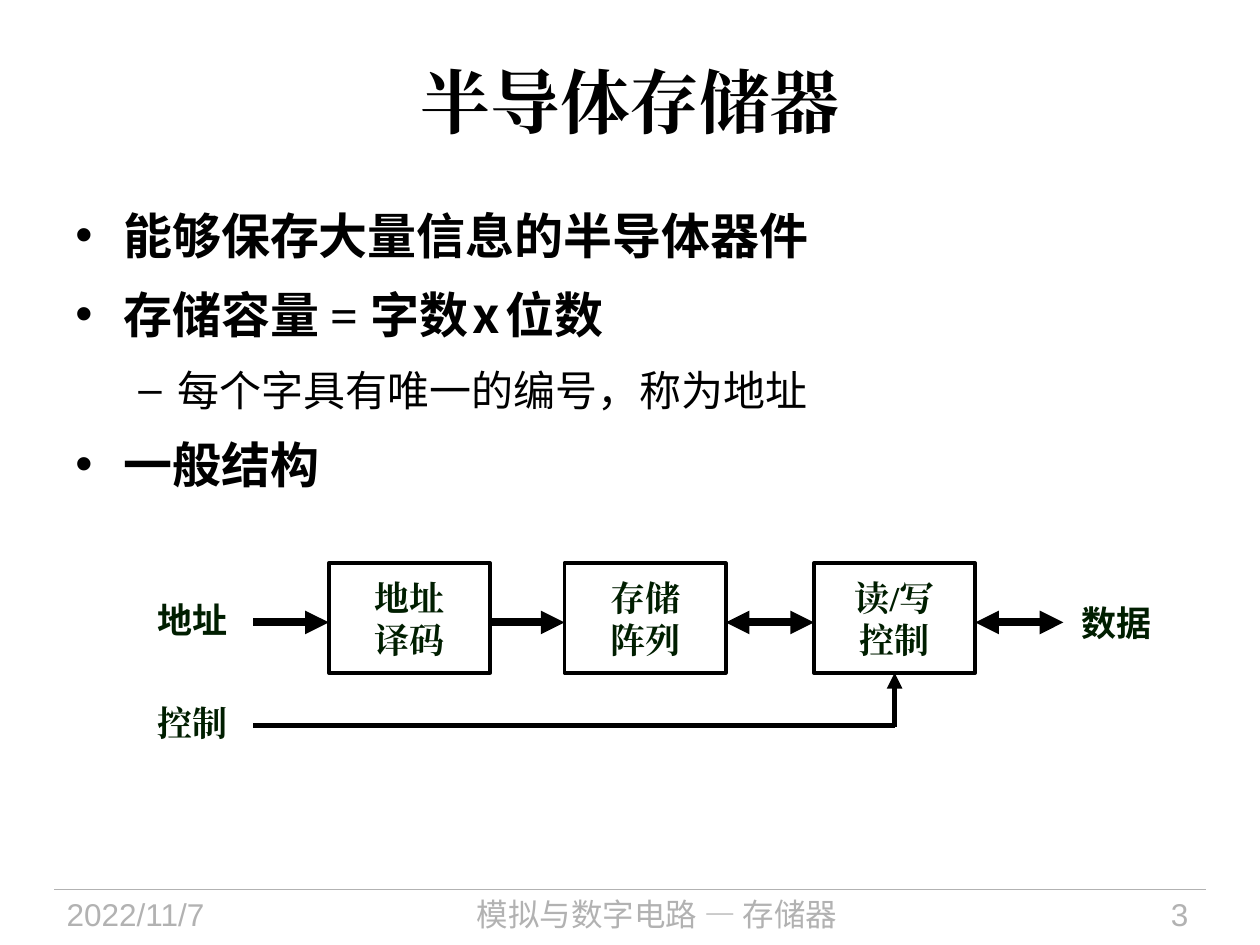
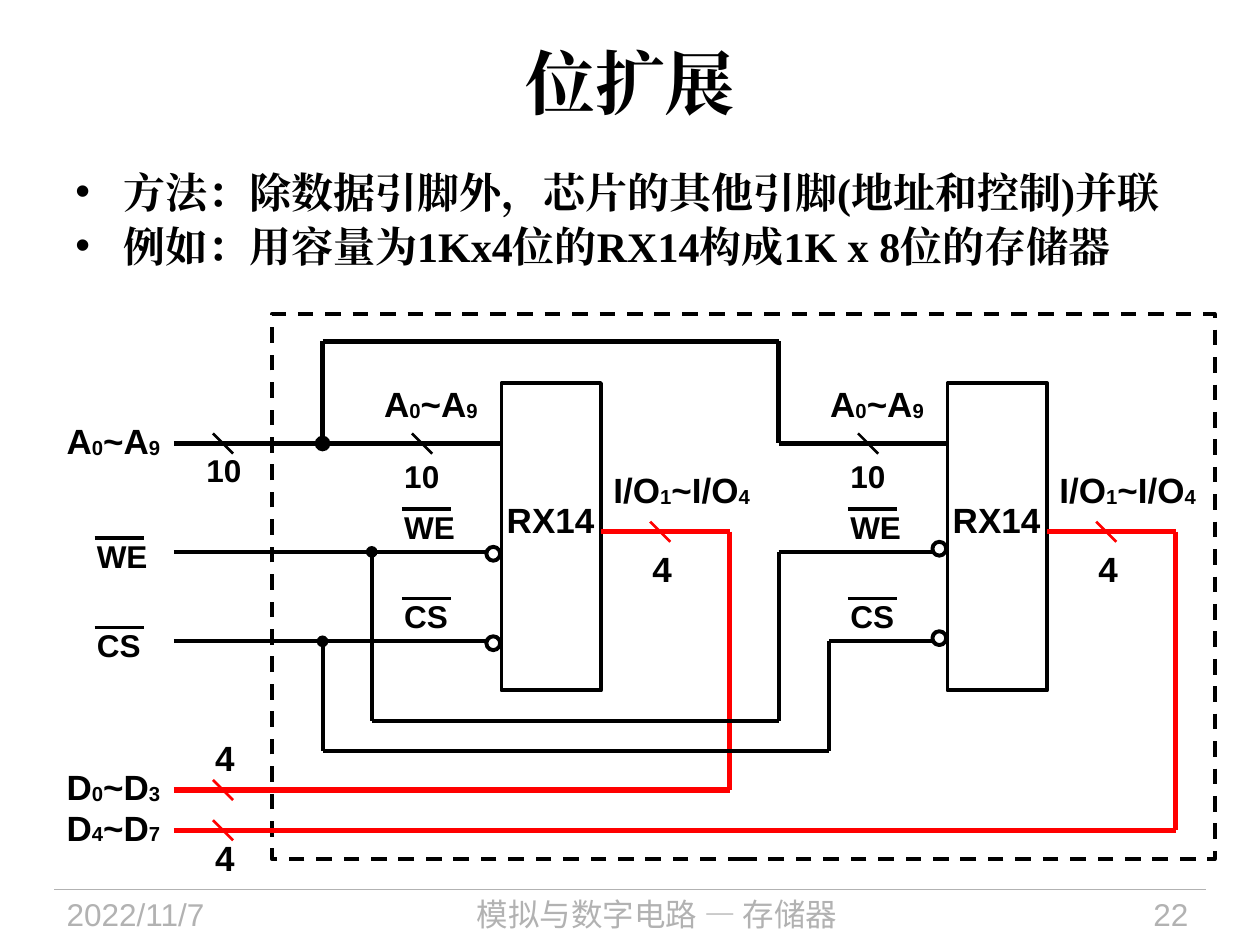
from dataclasses import dataclass

from lxml import etree
from pptx import Presentation
from pptx import util as u
from pptx.dml.color import RGBColor
from pptx.enum import dml, shapes, text
from pptx.oxml.ns import qn

CENTER, RIGHT = text.PP_ALIGN.CENTER, text.PP_ALIGN.RIGHT


@dataclass(frozen=True)
class Theme:
    ink: str = "000000"
    block_ink: str = "001E00"
    muted: str = "B2B2B2"
    data: str = "FF0000"
    paper: str = "FFFFFF"
    serif: str = "Times New Roman"
    sans: str = "Arial"
    cjk: str = "Noto Sans CJK SC"
    title: int = 40
    lead: int = 28
    body: int = 24
    label: int = 20
    small: int = 18
    hair: float = 0.75
    slash: float = 1.5
    thin: float = 2.25
    bus: float = 3
    flow: float = 4.5
    leading: float = 1.19


THEME = Theme()
SIGNAL = {"name": THEME.sans, "size": THEME.label, "bold": True}
SIGNAL_SMALL = {**SIGNAL, "size": THEME.small}
BLOCK = {**SIGNAL, "name": THEME.serif, "color": THEME.block_ink}
BLOCK_SANS = {**BLOCK, "name": THEME.sans}
SUBSCRIPT = {"baseline": -2}


# ---- Text ----
def apply(target, values):
    for name, value in values.items():
        setattr(target, name, value)


def add_run(paragraph, words, style):
    run = paragraph.add_run()
    run.text = words
    font = run.font
    apply(font, {"name": style["name"], "size": u.Pt(style["size"]),
                 "bold": style.get("bold", False)})
    font.color.rgb = RGBColor.from_string(style.get("color", THEME.ink))
    properties = run._r.get_or_add_rPr()
    if "baseline" in style:
        properties.set("baseline", str(style["baseline"] * 1000))
    etree.SubElement(properties, qn("a:ea")).set("typeface", style["name"])


def write(paragraph, runs, style, **formats):
    """Fill a paragraph from a string or from (words, changes) pairs."""
    pairs = [(runs, {})] if isinstance(runs, str) else runs
    for words, changes in pairs:
        add_run(paragraph, words, {**style, **changes})
    spacing = u.Pt(round(style["size"] * THEME.leading))
    apply(paragraph, {"line_spacing": spacing, **formats})


def add_bullet(paragraph, mark, margin, hang):
    properties = paragraph._p.get_or_add_pPr()
    properties.set("marL", str(u.Inches(margin)))
    properties.set("indent", str(u.Inches(-hang)))
    etree.SubElement(properties, qn("a:buFont")).set("typeface", THEME.sans)
    etree.SubElement(properties, qn("a:buChar")).set("char", mark)


def next_paragraph(frame, index):
    return frame.paragraphs[0] if index == 0 else frame.add_paragraph()


def subscripted(*parts):
    """Alternate plain and subscript runs."""
    return [(part, SUBSCRIPT if i % 2 else {}) for i, part in enumerate(parts)]


# ---- Drawing relative to a box ----
class Region:
    def __init__(self, slide, left, top):
        self.slide, self.left, self.top = slide, left, top

    def point(self, x, y):
        return u.Inches(self.left + x), u.Inches(self.top + y)

    def inner(self, x, y):
        return Region(self.slide, self.left + x, self.top + y)

    def textbox(self, x, y, width, height, wrap=False, margin=None):
        box = self.slide.shapes.add_textbox(
            *self.point(x, y), u.Inches(width), u.Inches(height))
        frame = box.text_frame
        frame.word_wrap = wrap
        if margin is not None:
            sides = ("left", "top", "right", "bottom")
            apply(frame, {f"margin_{side}": margin for side in sides})
        return frame

    def label(self, x, y, width, height, runs, style, margin=None, **formats):
        frame = self.textbox(x, y, width, height, margin=margin)
        write(frame.paragraphs[0], runs, style, **formats)

    def line(self, x1, y1, x2, y2, weight=THEME.thin, color=THEME.ink,
             head=None, tail=None):
        connector = self.slide.shapes.add_connector(
            shapes.MSO_CONNECTOR.STRAIGHT, *self.point(x1, y1), *self.point(x2, y2))
        connector.line.width = u.Pt(weight)
        connector.line.color.rgb = RGBColor.from_string(color)
        outline = connector.line._get_or_add_ln()
        for tag, kind in (("a:headEnd", head), ("a:tailEnd", tail)):
            if kind:
                etree.SubElement(outline, qn(tag)).set("type", kind)
        etree.SubElement(connector._element.spPr, qn("a:effectLst"))

    def shape(self, x, y, width, height, kind=shapes.MSO_SHAPE.RECTANGLE,
              fill=None, dash=None):
        shape = self.slide.shapes.add_shape(
            kind, *self.point(x, y), u.Inches(width), u.Inches(height))
        shape.shadow.inherit = False
        if fill:
            shape.fill.solid()
            shape.fill.fore_color.rgb = RGBColor.from_string(fill)
        else:
            shape.fill.background()
        shape.line.color.rgb = RGBColor.from_string(THEME.ink)
        apply(shape.line, {"width": u.Pt(THEME.thin), "dash_style": dash})
        return shape


# ---- Shared slide parts ----
def add_footer(region, number):
    region.line(0, 0, 9.14, 0, THEME.hair, THEME.muted)
    style = {"name": THEME.sans, "size": THEME.small, "color": THEME.muted}
    parts = (
        (0, 1.88, "2022/11/7", None, THEME.sans),
        (1.97, 5.63, "模拟与数字电路 — 存储器", CENTER, THEME.cjk),
        (7.77, 1.33, str(number), RIGHT, THEME.sans),
    )
    for x, width, words, alignment, font in parts:
        frame = region.textbox(x, 0, width, 0.44, wrap=True)
        write(frame.paragraphs[0], words, {**style, "name": font},
              alignment=alignment)


def start_slide(presentation, title, number, top, height):
    slide = presentation.slides.add_slide(presentation.slide_layouts[5])
    placeholder = slide.shapes.title
    apply(placeholder, {"left": u.Inches(0.5), "top": u.Inches(top),
                        "width": u.Inches(9), "height": u.Inches(height)})
    frame = placeholder.text_frame
    frame.vertical_anchor = text.MSO_ANCHOR.MIDDLE
    write(frame.paragraphs[0], title,
          {"name": THEME.serif, "size": THEME.title, "bold": True},
          alignment=CENTER)
    add_footer(Region(slide, 0.43, 7.06), number)
    return slide


# ---- Memory overview slide ----
def add_memory_points(region):
    lead = {"name": THEME.cjk, "size": THEME.lead, "bold": True}
    detail = {"name": THEME.cjk, "size": THEME.body}
    gap = (" ", {"size": 12})
    capacity = [("存储容量 ", {}), ("= ", {"name": THEME.serif}),
                ("字数", {}), gap, ("x", {}), gap, ("位数", {})]
    points = (
        (0, "能够保存大量信息的半导体器件"),
        (0, capacity),
        (1, "每个字具有唯一的编号，称为地址"),
        (0, "一般结构"),
    )
    frame = region.textbox(0, 0, 8.99, 2.36, wrap=True)
    for index, (level, runs) in enumerate(points):
        paragraph = next_paragraph(frame, index)
        write(paragraph, runs, detail if level else lead,
              level=level, space_after=u.Pt(12))
        add_bullet(paragraph, *(("–", 0.81, 0.31) if level else ("•", 0.38, 0.38)))


def add_memory_diagram(region):
    width, height, middle, input_x = 1.28, 0.87, 0.47, 0.76
    blocks = ((1.36, ("地址", "译码")), (3.23, ("存储", "阵列")),
              (5.21, ("读/写", "控制")))
    for x, lines in blocks:
        frame = region.shape(x, 0, width, height).text_frame
        apply(frame, {"word_wrap": False, "margin_left": 0, "margin_right": 0,
                      "margin_top": 0, "margin_bottom": 0,
                      "vertical_anchor": text.MSO_ANCHOR.MIDDLE})
        for index, words in enumerate(lines):
            write(next_paragraph(frame, index), words, BLOCK, alignment=CENTER)

    # Flow from the address input to the data port
    starts = [input_x] + [x + width for x, _ in blocks]
    ends = [x for x, _ in blocks] + [7.19]
    for index, (start, end) in enumerate(zip(starts, ends)):
        region.line(start, middle, end, middle, THEME.flow,
                    head="triangle" if index > 1 else None, tail="triangle")

    # Control path
    control_x = blocks[-1][0] + width / 2
    region.line(control_x, 1.3, control_x, height, THEME.bus, tail="triangle")
    region.line(input_x, 1.29, control_x, 1.29, THEME.bus)

    for x, y, words, style in ((0, 0.28, "地址", BLOCK_SANS),
                               (0, 1.1, "控制", BLOCK),
                               (7.33, 0.3, "数据", BLOCK_SANS)):
        region.label(x, y, 0.56, 0.33, words, style, margin=0)


def build_memory_slide(presentation):
    slide = start_slide(presentation, "半导体存储器", 3, 0.17, 1.25)
    add_memory_points(Region(slide, 0.5, 1.59))
    add_memory_diagram(Region(slide, 1.25, 4.47))


# ---- Width expansion slide ----
def add_expansion_points(region):
    style = {"name": THEME.serif, "size": THEME.body, "bold": True}
    frame = region.textbox(0, 0, 9, 1.57, wrap=True)
    points = ("方法：除数据引脚外，芯片的其他引脚(地址和控制)并联",
              "例如：用容量为1Kx4位的RX14构成1K x 8位的存储器")
    for index, words in enumerate(points):
        paragraph = next_paragraph(frame, index)
        write(paragraph, words, style, line_spacing=u.Pt(26), space_after=u.Pt(4.8))
        add_bullet(paragraph, "•", 0.38, 0.38)


def add_slash(region, x, y, color=THEME.ink):
    region.line(x, y - 0.08, x + 0.16, y + 0.08, THEME.slash, color)


def add_barred_label(region, x, y, words, width):
    region.label(x, y, width, 0.4, words, SIGNAL_SMALL)
    region.line(x + 0.08, y + 0.05, x + 0.47, y + 0.05)


def add_address_label(region, x, y):
    region.label(x, y, 0.97, 0.43, subscripted("A", "0", "~A", "9"), SIGNAL)


def add_chip(region, bubble_lift):
    region.shape(0, 0, 0.79, 2.44)
    region.label(-0.16, 0.87, 1.1, 0.43, "RX14", SIGNAL, alignment=CENTER)

    # Address pins
    add_address_label(region, -1.03, -0.05)
    add_slash(region, -0.71, 0.48)
    region.label(-0.87, 0.55, 0.48, 0.4, "10", SIGNAL_SMALL)

    # Data pins
    region.line(0.79, 1.18, 1.81, 1.18, THEME.bus, THEME.data)
    region.label(0.79, 0.63, 1.3, 0.43,
                 subscripted("I/O", "1", "~I/O", "4"), SIGNAL)
    add_slash(region, 1.18, 1.18, THEME.data)
    region.label(1.1, 1.26, 0.36, 0.43, "4", SIGNAL)

    # Active-low control pins
    for words, width, y in (("WE", 0.6, 1.34), ("CS", 0.55, 2.05)):
        add_barred_label(region, -0.87, y - 0.39, words, width)
        region.shape(-0.12, y - 0.04 - bubble_lift, 0.11, 0.11,
                     shapes.MSO_SHAPE.OVAL, THEME.paper)


def add_expansion_circuit(region):
    address, write_enable, chip_select = 1.03, 1.89, 2.6
    input_x, chip_xs = 0.95, (3.55, 7.09)
    region.shape(1.73, 0, 7.48, 4.33, dash=dml.MSO_LINE.DASH)

    # Data buses
    buses = ((3.78, 0, ("D", "0", "~D", "3"), 3.31),
             (4.1, 1, ("D", "4", "~D", "7"), 4.1))
    for y, chip, name, count_y in buses:
        end_x = chip_xs[chip] + 1.81
        region.line(input_x, y, end_x, y, THEME.bus, THEME.data)
        region.line(end_x, 1.73, end_x, y, THEME.bus, THEME.data)
        add_slash(region, 1.26, y, THEME.data)
        region.label(0, y - 0.24, 0.97, 0.43, subscripted(*name), SIGNAL)
        region.label(1.18, count_y, 0.36, 0.43, "4", SIGNAL)

    # Shared inputs: pin height, branch and rejoin positions, detour height
    inputs = ((address, 2.13, 5.75, 0.22, THEME.bus),
              (write_enable, 2.52, 5.75, 3.23, THEME.thin),
              (chip_select, 2.13, 6.15, 3.47, THEME.thin))
    for y, branch, rejoin, detour, weight in inputs:
        region.line(input_x, y, chip_xs[0], y, weight)
        region.line(branch, y, branch, detour, weight, head="oval")
        region.line(branch, detour, rejoin, detour, weight)
        region.line(rejoin, detour, rejoin, y, weight)
        region.line(rejoin, y, chip_xs[1], y, weight)

    # Input names
    add_address_label(region, 0, 0.79)
    add_slash(region, 1.26, address)
    region.label(1.11, 1.05, 0.48, 0.4, "10", SIGNAL_SMALL)
    add_barred_label(region, 0.24, write_enable - 0.16, "WE", 0.6)
    add_barred_label(region, 0.24, chip_select - 0.16, "CS", 0.55)

    for x, bubble_lift in zip(chip_xs, (0, 0.04)):
        add_chip(region.inner(x, 0.55), bubble_lift)


def build_expansion_slide(presentation):
    slide = start_slide(presentation, "位扩展", 22, 0.26, 0.77)
    add_expansion_points(Region(slide, 0.5, 1.31))
    add_expansion_circuit(Region(slide, 0.43, 2.49))


def main():
    presentation = Presentation()
    apply(presentation, {"slide_width": u.Inches(10), "slide_height": u.Inches(7.5)})
    build_memory_slide(presentation)
    build_expansion_slide(presentation)
    presentation.save("out.pptx")


if __name__ == "__main__":
    main()
